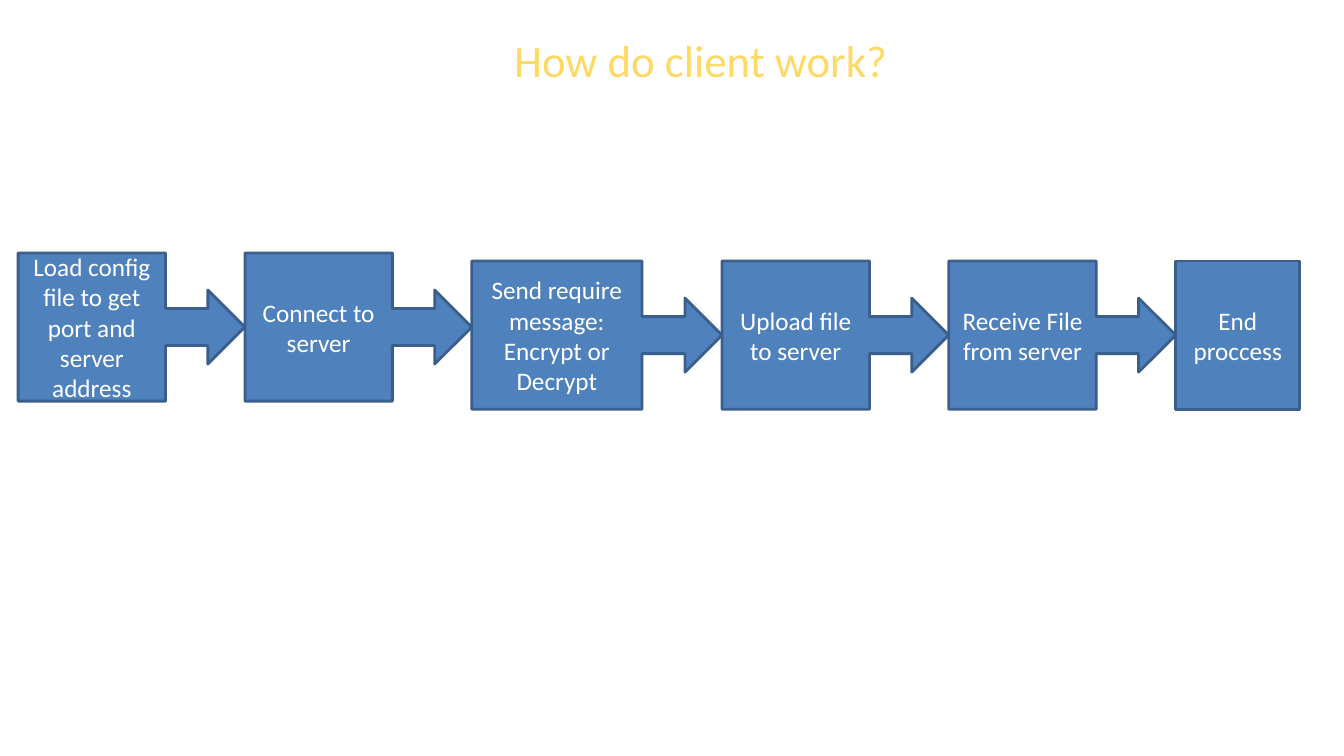
from pptx import Presentation
from pptx.dml.color import RGBColor
from pptx.enum.shapes import MSO_SHAPE as Preset
from pptx.enum.text import MSO_ANCHOR as Anchor, MSO_AUTO_SIZE as AutoSize, PP_ALIGN as Align
from pptx.util import Inches, Pt

SLIDE_WIDTH, SLIDE_HEIGHT = Inches(13.33), Inches(7.5)
COLUMNS, ROWS = 160, 90
COLORS = {"background": "FFFFFF", "heading": "FFD966", "step": "4F81BD",
          "outline": "3A5F8C", "label": "FFFFFF"}
FONT = "Calibri"
FIRST_COLUMN, STEP_ROWS = 2.16, 17.64
UPPER_ROW, LOWER_ROW = 30.12, 31.08
STEPS = [
    (["Load config file to get port and server address"], UPPER_ROW, 27, 0.65),
    (["Connect to server"], UPPER_ROW, 27, 0.65),
    (["Send require message:", "Encrypt or Decrypt"], LOWER_ROW, 29.8, 0.68),
    (["Upload file to server"], LOWER_ROW, 27, 0.65),
    (["Receive File from server"], LOWER_ROW, 27, 0.65),
    (["End proccess"], LOWER_ROW, 14.8, None),
]


def color(role):
    """Return the colour of a role."""
    return RGBColor.from_string(COLORS[role])


def place(column, row, columns, rows):
    """Turn grid units into left, top, width and height."""
    return (round(SLIDE_WIDTH * column / COLUMNS), round(SLIDE_HEIGHT * row / ROWS),
            round(SLIDE_WIDTH * columns / COLUMNS), round(SLIDE_HEIGHT * rows / ROWS))


def write(frame, lines, size, role, align, anchor):
    """Fill a text frame with one paragraph per line."""
    frame.word_wrap = True
    frame.auto_size = AutoSize.NONE
    frame.vertical_anchor = anchor
    frame.margin_left = frame.margin_right = Inches(0.1)
    frame.margin_top = frame.margin_bottom = Inches(0.05)
    for number, line in enumerate(lines):
        paragraph = frame.add_paragraph() if number else frame.paragraphs[0]
        paragraph.alignment = align
        run = paragraph.add_run()
        run.text = line
        run.font.name = FONT
        run.font.size = Pt(size)
        run.font.color.rgb = color(role)


def add_heading(slide, text):
    """Move the title placeholder and write the heading."""
    heading = slide.shapes.title
    heading.left, heading.top, heading.width, heading.height = place(60, 3.24, 50.52, 13.92)
    write(heading.text_frame, [text], 32, "heading", Align.LEFT, Anchor.TOP)


def add_step(slide, lines, column, row, columns, body_share):
    """Add a step, with an arrow to the next one if it has a body share."""
    preset = Preset.RECTANGLE if body_share is None else Preset.RIGHT_ARROW_CALLOUT
    step = slide.shapes.add_shape(preset, *place(column, row, columns, STEP_ROWS))
    if body_share is not None:
        step.adjustments[3] = body_share
    step.shadow.inherit = False
    step.fill.solid()
    step.fill.fore_color.rgb = color("step")
    step.line.color.rgb = color("outline")
    step.line.width = Pt(2)
    write(step.text_frame, lines, 18, "label", Align.CENTER, Anchor.MIDDLE)


def main():
    """Build the client workflow slide."""
    deck = Presentation()
    deck.slide_width, deck.slide_height = SLIDE_WIDTH, SLIDE_HEIGHT
    slide = deck.slides.add_slide(deck.slide_layouts[5])
    slide.background.fill.solid()
    slide.background.fill.fore_color.rgb = color("background")
    add_heading(slide, "How do client work?")
    column = FIRST_COLUMN
    for lines, row, columns, body_share in STEPS:
        add_step(slide, lines, column, row, columns, body_share)
        column += columns
    deck.save("out.pptx")


if __name__ == "__main__":
    main()
